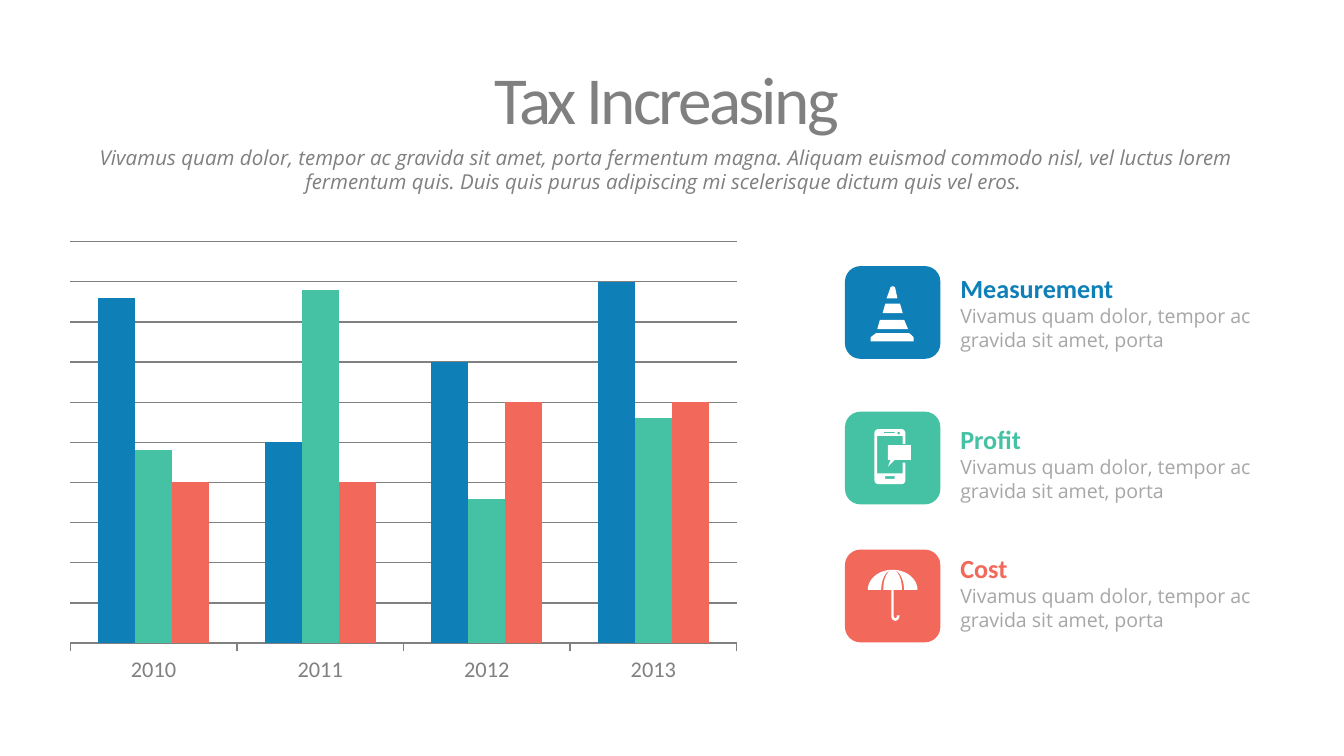
from math import cos, radians, sin

from pptx import Presentation
from pptx.chart.data import CategoryChartData
from pptx.dml.color import RGBColor
from pptx.enum.chart import XL_CHART_TYPE as ChartType, XL_TICK_LABEL_POSITION as LabelPosition
from pptx.enum.chart import XL_TICK_MARK as TickMark
from pptx.enum.shapes import MSO_SHAPE as Preset
from pptx.enum.text import MSO_ANCHOR as Anchor, MSO_AUTO_SIZE as AutoSize, PP_ALIGN as Align
from pptx.util import Inches, Pt

WIDTH = Inches(10)
HEIGHT = WIDTH * 9 // 16
GREY, PALE, WHITE = "808080", "A6A6A6", "FFFFFF"
BLUE, GREEN, RED = "0E7FB7", "45C1A4", "F2685A"
HEADING, BODY = "Calibri", "Open Sans"

INTRO = ("Vivamus quam dolor, tempor ac gravida sit amet, porta fermentum magna. "
         "Aliquam euismod commodo nisl, vel luctus lorem fermentum quis. "
         "Duis quis purus adipiscing mi scelerisque dictum quis vel eros. ")
DETAIL = "Vivamus quam dolor, tempor ac gravida sit amet, porta"

YEARS = ["2010", "2011", "2012", "2013"]
SERIES = [
    ("Series 1", (4.3, 2.5, 3.5, 4.5), BLUE),
    ("Series 2", (2.4, 4.4, 1.8, 2.8), GREEN),
    ("Series 3", (2, 2, 3, 3), RED),
]


def share(left, top, width, height):
    """Turn percentages of the slide into a box."""
    return (int(WIDTH * left / 100), int(HEIGHT * top / 100),
            int(WIDTH * width / 100), int(HEIGHT * height / 100))


def color(hex_string):
    return RGBColor.from_string(hex_string)


def paint(shape, fill):
    shape.shadow.inherit = False
    shape.fill.solid()
    shape.fill.fore_color.rgb = color(fill)
    shape.line.fill.background()


def add_run(paragraph, text, font, size, ink, bold=False, italic=False):
    run = paragraph.add_run()
    run.text = text
    run.font.name, run.font.size = font, Pt(size)
    run.font.bold, run.font.italic = bold, italic
    run.font.color.rgb = color(ink)
    return run


def tighten(frame):
    frame.margin_left = frame.margin_right = Inches(0.05)
    frame.margin_top = frame.margin_bottom = Inches(0.03)
    frame.auto_size = AutoSize.SHAPE_TO_FIT_TEXT
    frame.paragraphs[0].alignment = Align.CENTER


def title(slide, box):
    heading = slide.shapes.title
    heading.left, heading.top, heading.width, heading.height = box
    frame = heading.text_frame
    tighten(frame)
    frame.word_wrap, frame.vertical_anchor = False, Anchor.TOP
    run = add_run(frame.paragraphs[0], "Tax Increasing", HEADING, 36, GREY)
    run.font._element.set("spc", "-150")


def intro(slide, box):
    frame = slide.shapes.add_textbox(*box).text_frame
    tighten(frame)
    frame.word_wrap, frame.vertical_anchor = True, Anchor.MIDDLE
    add_run(frame.paragraphs[0], INTRO, BODY, 11, GREY, italic=True)


def tax_chart(slide, box):
    data = CategoryChartData()
    data.categories = YEARS
    for name, values, _ in SERIES:
        data.add_series(name, values)
    chart = slide.shapes.add_chart(ChartType.COLUMN_CLUSTERED, *box, data).chart
    chart.has_legend = chart.has_title = False
    chart.font.name, chart.font.size = HEADING, Pt(12)
    chart.font.color.rgb = color(GREY)

    plot = chart.plots[0]
    plot.gap_width, plot.overlap, plot.vary_by_categories = 150, 0, False
    for series, (_, _, fill) in zip(plot.series, SERIES):
        series.invert_if_negative = False
        series.format.fill.solid()
        series.format.fill.fore_color.rgb = color(fill)

    years, amounts = chart.category_axis, chart.value_axis
    years.major_tick_mark = TickMark.OUTSIDE
    amounts.minimum_scale, amounts.maximum_scale, amounts.major_unit = 0, 5, 0.5
    amounts.has_major_gridlines = True
    amounts.tick_label_position = LabelPosition.NONE
    amounts.visible = False
    for rule in (years.format.line, amounts.major_gridlines.format.line):
        rule.color.rgb, rule.width = color(GREY), Pt(0.75)


def arc(center_x, center_y, radius_x, radius_y, start, end, steps=12):
    angles = [radians(start + (end - start) * i / steps) for i in range(steps + 1)]
    return [(center_x + radius_x * cos(a), center_y + radius_y * sin(a)) for a in angles]


def bar(left, top, right, bottom):
    return [(left, top), (right, top), (right, bottom), (left, bottom)]


# Icon outlines are in hundredths of an inch from the corner of their tile.
CONE = [[
    [(19, 56), (51, 56), (51, 53), (48, 50), (23, 50), (19, 53)],
    [(24, 47), (26, 40), (44, 40), (47, 47)],
    [(28, 35), (30, 28), (41, 28), (43, 35)],
    [(31, 24), *arc(35.5, 17, 2, 2, 180, 360), (39, 24)],
]]
PHONE = [
    [
        [(43, 46), (24, 46), (24, 18), (43, 18), (43, 24), (45, 24),
         *arc(42, 16, 3, 3, 0, -90), *arc(25, 16, 3, 3, 270, 180),
         *arc(25, 51, 3, 3, 180, 90), *arc(42, 51, 3, 3, 90, 0), (45, 38), (43, 38)],
        bar(29, 15, 37, 16),
        bar(30, 48, 37, 50),
        arc(40, 16, 1, 1, 0, 360),
    ],
    [[(32, 36), (34, 36), (32, 41), (37, 36), (49, 36), (49, 25), (32, 25)]],
]
UMBRELLA = [[
    arc(35.5, 30, 18.5, 15, 180, 265) + arc(35.5, 30, 8.5, 15, 265, 180),
    arc(35.5, 30, 7, 15, 180, 360),
    arc(35.5, 30, 18.5, 15, 360, 275) + arc(35.5, 30, 8.5, 15, 275, 360),
    [(34.5, 30), *arc(37.5, 49.5, 3, 3.5, 180, 0), (41, 49), (38.5, 49),
     *arc(37.5, 49.5, 1.2, 1.5, 0, 180), (36.3, 30)],
]]


def icon(slide, left, top, parts):
    for outlines in parts:
        builder = None
        for outline in outlines:
            points = [(left + Inches(x / 100), top + Inches(y / 100)) for x, y in outline]
            if builder is None:
                builder = slide.shapes.build_freeform(*points[0])
            else:
                builder.move_to(*points[0])
            builder.add_line_segments(points[1:], close=True)
        paint(builder.convert_to_shape(), WHITE)


def legend_entry(slide, tile_box, text_box, name, fill, parts):
    tile = slide.shapes.add_shape(Preset.ROUNDED_RECTANGLE, *tile_box)
    paint(tile, fill)
    icon(slide, *tile_box[:2], parts)
    frame = slide.shapes.add_textbox(*text_box).text_frame
    frame.word_wrap, frame.auto_size = True, AutoSize.SHAPE_TO_FIT_TEXT
    add_run(frame.paragraphs[0], name, HEADING, 14, fill, bold=True)
    add_run(frame.add_paragraph(), DETAIL, BODY, 10.5, PALE)


def main():
    deck = Presentation()
    deck.slide_width, deck.slide_height = WIDTH, HEIGHT
    slide = deck.slides.add_slide(deck.slide_layouts[5])
    title(slide, share(36.25, 7.08, 26.7, 11.73))
    intro(slide, share(6.7, 18.67, 85.8, 7.47))
    tax_chart(slide, share(4.2, 30.76, 51.65, 60.8))
    entries = [
        (35.2, 35.2, "Measurement", BLUE, CONE),
        (54.45, 55.17, "Profit", GREEN, PHONE),
        (72.7, 72.24, "Cost", RED, UMBRELLA),
    ]
    for tile_top, text_top, name, fill, parts in entries:
        legend_entry(slide, share(62.87, tile_top, 7.1, 12.27),
                     share(70.47, text_top, 24.5, 12.27), name, fill, parts)
    deck.save("out.pptx")


if __name__ == "__main__":
    main()
